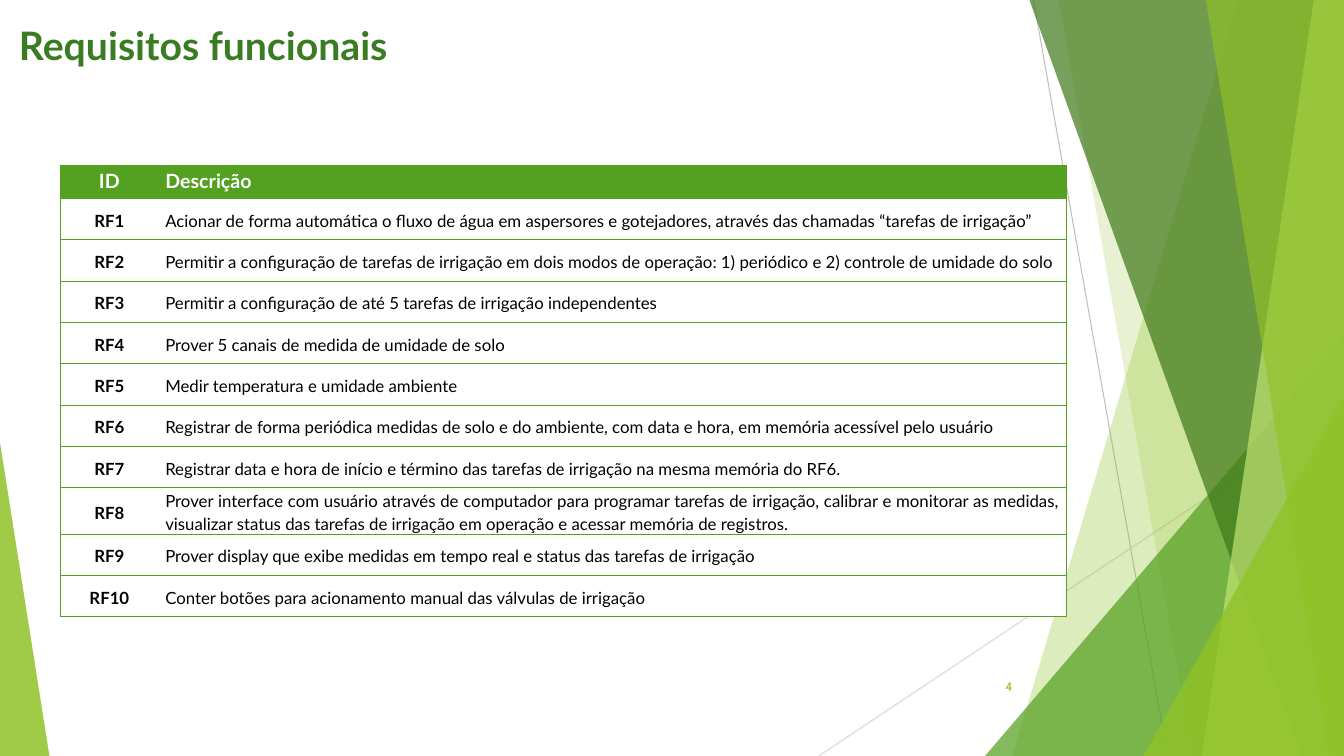
from lxml import etree
from pptx import Presentation
from pptx.dml import color
from pptx.enum import shapes, text
from pptx.oxml import ns
from pptx.util import Inches, Pt

WIDTH, HEIGHT = 13.33, 7.5
REQUIREMENTS = [
    "Acionar de forma automática o fluxo de água em aspersores e gotejadores, através das chamadas “tarefas de irrigação”",
    "Permitir a configuração de tarefas de irrigação em dois modos de operação: 1) periódico e 2) controle de umidade do solo",
    "Permitir a configuração de até 5 tarefas de irrigação independentes",
    "Prover 5 canais de medida de umidade de solo",
    "Medir temperatura e umidade ambiente",
    "Registrar de forma periódica medidas de solo e do ambiente, com data e hora, em memória acessível pelo usuário",
    "Registrar data e hora de início e término das tarefas de irrigação na mesma memória do RF6.",
    "Prover interface com usuário através de computador para programar tarefas de irrigação, calibrar e monitorar as "
    "medidas, visualizar status das tarefas de irrigação em operação e acessar memória de registros.",
    "Prover display que exibe medidas em tempo real e status das tarefas de irrigação",
    "Conter botões para acionamento manual das válvulas de irrigação",
]


def rgb(value):
    return color.RGBColor.from_string(value)


class SlideBuilder:
    green = "54A021"
    lime = "90C226"
    font = "Lato"

    def __init__(self, slide):
        self.slide = slide
        self.shapes = slide.shapes

    def line(self, start, end, stroke):
        ray = self.shapes.add_connector(
            shapes.MSO_CONNECTOR.STRAIGHT, *(Inches(v) for v in (*start, *end)))
        ray.line.color.rgb = rgb(stroke)
        ray.line.width = Pt(0.75)
        etree.SubElement(ray._element.spPr, ns.qn("a:effectLst"))

    def paint(self, facet, fill, opacity):
        facet.shadow.inherit = False
        facet.line.fill.background()
        facet.fill.solid()
        facet.fill.fore_color.rgb = rgb(fill)
        tint = facet._element.spPr.find(ns.qn("a:solidFill"))[0]
        etree.SubElement(tint, ns.qn("a:alpha"), val=str(opacity * 1000))

    def band(self, top_left, bottom_left, fill, opacity):
        outline = self.shapes.build_freeform(Inches(top_left), 0)
        outline.add_line_segments([
            (Inches(x), Inches(y)) for x, y in
            ((WIDTH, 0), (WIDTH, HEIGHT), (bottom_left, HEIGHT))], close=True)
        self.paint(outline.convert_to_shape(), fill, opacity)

    def corner(self, left, width, height, apex, fill, opacity):
        triangle = self.shapes.add_shape(
            shapes.MSO_SHAPE.ISOSCELES_TRIANGLE, Inches(left), Inches(HEIGHT - height),
            Inches(width), Inches(height))
        triangle.adjustments[0] = apex
        self.paint(triangle, fill, opacity)

    def style(self, paragraph, size, fill, bold=False, font=None, align=None):
        paragraph.alignment = align
        paragraph.font.name = font or self.font
        paragraph.font.size = Pt(size)
        paragraph.font.bold = bold
        paragraph.font.color.rgb = rgb(fill)

    def label(self, words, box, size, fill, spacing=None, anchor=None, **style):
        frame = self.shapes.add_textbox(*(Inches(v) for v in box)).text_frame
        frame.word_wrap = True
        frame.vertical_anchor = anchor
        paragraph = frame.paragraphs[0]
        paragraph.text = words
        paragraph.line_spacing = spacing
        self.style(paragraph, size, fill, **style)

    def border(self, cell, edges):
        properties = cell._tc.get_or_add_tcPr()
        for side in "LRTB":
            edge = etree.SubElement(properties, ns.qn(f"a:ln{side}"), w=str(Pt(1)))
            if side in edges:
                fill = etree.SubElement(edge, ns.qn("a:solidFill"))
                etree.SubElement(fill, ns.qn("a:srgbClr"), val=self.green)
            else:
                etree.SubElement(edge, ns.qn("a:noFill"))

    def cell(self, cell, words, header, first):
        cell.margin_left = cell.margin_right = Inches(0.07)
        cell.margin_top = cell.margin_bottom = 0
        cell.vertical_anchor = text.MSO_ANCHOR.TOP if header else text.MSO_ANCHOR.MIDDLE
        self.border(cell, "LTB" if first else "RTB")
        cell.fill.solid()
        cell.fill.fore_color.rgb = rgb(self.green if header else "FFFFFF")
        paragraph = cell.text_frame.paragraphs[0]
        paragraph.text = words
        paragraph.line_spacing = 1.15
        paragraph.space_after = Pt(8)
        self.style(paragraph, 14 if header else 12, "FFFFFF" if header else "000000",
                   bold=header or first,
                   align=text.PP_ALIGN.CENTER if first else text.PP_ALIGN.JUSTIFY)

    def table(self, rows, left, top, widths, header_height, row_height):
        height = header_height + row_height * (len(rows) - 1)
        table = self.shapes.add_table(
            len(rows), len(widths), Inches(left), Inches(top),
            Inches(sum(widths)), Inches(height)).table
        table.horz_banding = False
        for column, width in zip(table.columns, widths):
            column.width = Inches(width)
        for r, row in enumerate(rows):
            table.rows[r].height = Inches(row_height if r else header_height)
            for c, words in enumerate(row):
                self.cell(table.cell(r, c), words, header=r == 0, first=c == 0)


def main():
    deck = Presentation()
    deck.slide_width, deck.slide_height = Inches(WIDTH), Inches(HEIGHT)
    page = SlideBuilder(deck.slides.add_slide(deck.slide_layouts[6]))

    page.line((10.25, 0), (11.58, HEIGHT), "BFBFBF")
    page.line((WIDTH, 4.03), (8.12, HEIGHT), "D9D9D9")
    page.band(12.28, 10.04, page.lime, 30)
    page.band(10.5, 11.83, page.lime, 20)
    page.corner(9.77, 3.56, 4.17, 1, page.green, 72)
    page.band(10.21, 12.91, "3F7819", 70)
    page.band(13.03, 11.92, "C0E474", 70)
    page.band(11.96, 13.18, page.lime, 65)
    page.corner(11.34, 1.99, 3.57, 1, page.lime, 80)
    page.corner(0, 0.49, 3.11, 0, page.lime, 85)

    page.label("Requisitos funcionais", (0.09, 0.09, 6.27, 0.62), 28, "3A7C22",
               spacing=1.15, bold=True)
    rows = [("ID", "Descrição")]
    rows += [(f"RF{n}", words) for n, words in enumerate(REQUIREMENTS, 1)]
    page.table(rows, 0.6, 1.64, (0.97, 9.01), 0.33, 0.41)
    page.label("4", (9.39, 6.61, 0.75, 0.4), 9, page.lime, font="Cabin",
               anchor=text.MSO_ANCHOR.MIDDLE, align=text.PP_ALIGN.RIGHT)
    deck.save("out.pptx")


if __name__ == "__main__":
    main()
